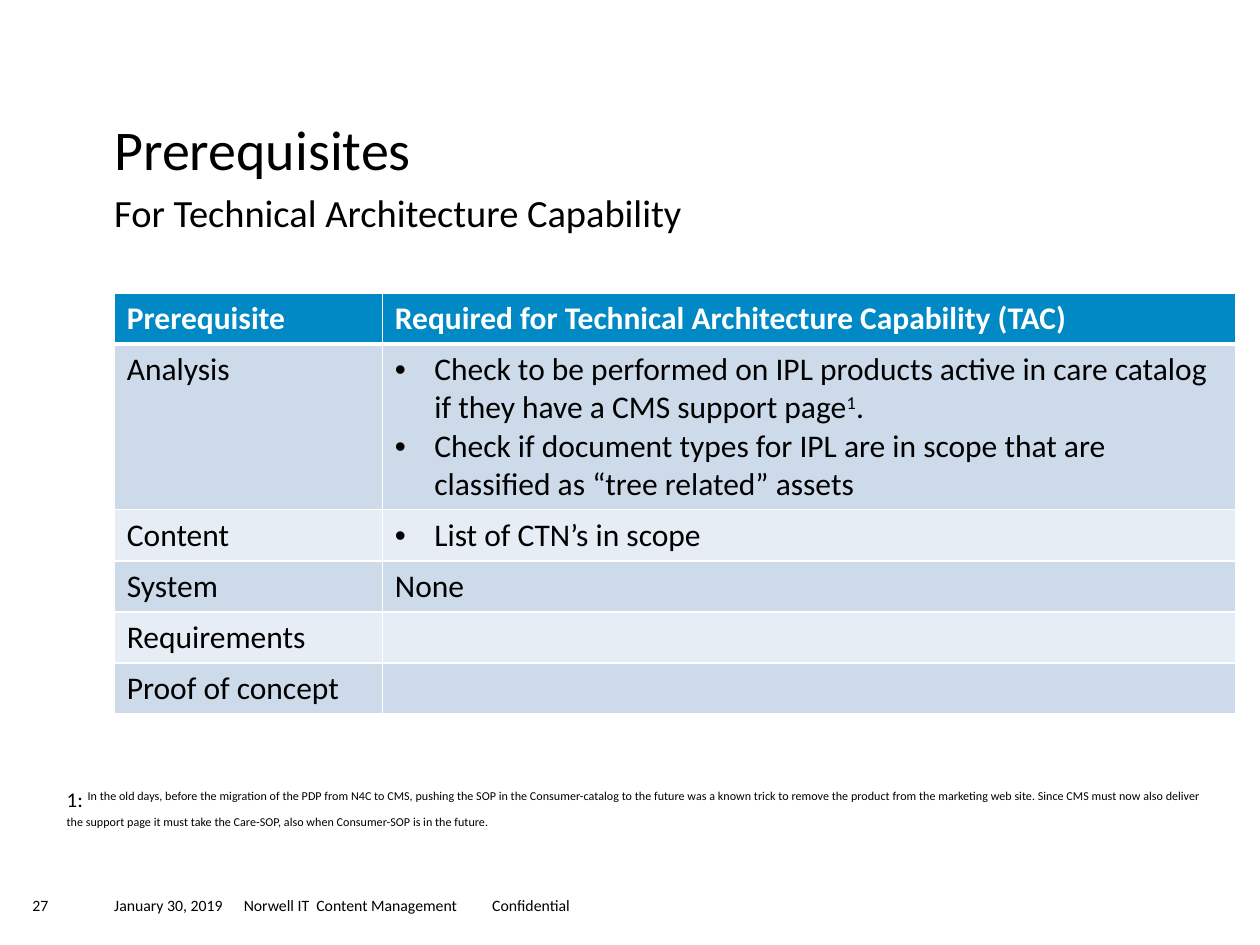
from lxml import etree
from pptx import Presentation
from pptx.dml.color import RGBColor
from pptx.oxml.ns import qn
from pptx.util import Pt

BLACK, WHITE = "000000", "FFFFFF"
HEADER_FILL, BAND_FILLS = "0089C4", ("CCDAEA", "E7EDF5")
SUPERSCRIPT = 30
BULLET_INDENT = 22.5

TABLE_ROWS = [
    ("Prerequisite", "Required for Technical Architecture Capability (TAC)"),
    ("Analysis", [
        [("Check to be performed on IPL products active in care catalog "
          "if they have a CMS support page", 0), ("1", SUPERSCRIPT), (".", 0)],
        "Check if document types for IPL are in scope that are "
        "classified as “tree related” assets",
    ]),
    ("Content", ["List of CTN’s in scope"]),
    ("System", "None"),
    ("Requirements", ""),
    ("Proof of concept", ""),
]
FOOTNOTE = [
    ("1: ", 0),
    ("In the old days, before the migration of the PDP from N4C to CMS, pushing "
     "the SOP in the Consumer-catalog to the future was a known trick to remove "
     "the product from the marketing web site. Since CMS must now also deliver "
     "the support page it must take the Care-SOP, also when Consumer-SOP is in "
     "the future.", SUPERSCRIPT),
]


def color(value):
    return RGBColor.from_string(value)


def add_bullet(paragraph):
    properties = paragraph._p.get_or_add_pPr()
    properties.set("marL", str(Pt(BULLET_INDENT)))
    properties.set("indent", str(-Pt(BULLET_INDENT)))
    etree.SubElement(properties, qn("a:buFont")).set("typeface", "Arial")
    etree.SubElement(properties, qn("a:buChar")).set("char", "•")


def add_tabs(paragraph, positions):
    tab_list = etree.SubElement(paragraph._p.get_or_add_pPr(), qn("a:tabLst"))
    for position in positions:
        tab = etree.SubElement(tab_list, qn("a:tab"))
        tab.set("pos", str(Pt(position)))
        tab.set("algn", "l")


def write(paragraph, text, font="Calibri", size=18, fill=BLACK, bold=False,
          bullet=False, tabs=()):
    """Fill a paragraph with a string or a list of (text, baseline percent)."""
    if bullet:
        add_bullet(paragraph)
    if tabs:
        add_tabs(paragraph, tabs)
    parts = [(text, 0)] if isinstance(text, str) else text
    for words, baseline in parts:
        run = paragraph.add_run()
        run.text = words
        run.font.name = font
        run.font.size = Pt(size)
        run.font.bold = bold
        run.font.color.rgb = color(fill)
        if baseline:
            run._r.get_or_add_rPr().set("baseline", str(baseline * 1000))


def set_borders(cell, top=1, bottom=1):
    properties = cell._tc.get_or_add_tcPr()
    for side, width in (("L", 1), ("R", 1), ("T", top), ("B", bottom)):
        line = etree.SubElement(properties, qn(f"a:ln{side}"), w=str(Pt(width)))
        fill = etree.SubElement(line, qn("a:solidFill"))
        etree.SubElement(fill, qn("a:srgbClr"), val=WHITE)


class SlideBuilder:
    def __init__(self, slide):
        self.slide = slide

    def text(self, left, top, width, height, text, inset=(0, 0), **style):
        box = self.slide.shapes.add_textbox(Pt(left), Pt(top), Pt(width), Pt(height))
        frame = box.text_frame
        frame.word_wrap = True
        frame.margin_left = frame.margin_right = Pt(inset[0])
        frame.margin_top = frame.margin_bottom = Pt(inset[1])
        write(frame.paragraphs[0], text, **style)

    def table(self, left, top, column_widths, row_heights, rows):
        shape = self.slide.shapes.add_table(
            len(rows), len(column_widths), Pt(left), Pt(top),
            Pt(sum(column_widths)), Pt(sum(row_heights)))
        table = shape.table
        for column, width in zip(table.columns, column_widths):
            column.width = Pt(width)
        for index, (contents, height) in enumerate(zip(rows, row_heights)):
            table.rows[index].height = Pt(height)
            for position, content in enumerate(contents):
                self.cell(table.cell(index, position), index, content)

    def cell(self, cell, row, content):
        """Format a cell; a list as content becomes bulleted paragraphs."""
        header = row == 0
        set_borders(cell, top=3 if row == 1 else 1, bottom=3 if header else 1)
        cell.fill.solid()
        cell.fill.fore_color.rgb = color(
            HEADER_FILL if header else BAND_FILLS[(row - 1) % 2])
        bullet = isinstance(content, list)
        frame = cell.text_frame
        for number, item in enumerate(content if bullet else [content]):
            paragraph = frame.add_paragraph() if number else frame.paragraphs[0]
            write(paragraph, item, bullet=bullet, bold=header,
                  fill=WHITE if header else BLACK)


def main():
    presentation = Presentation()
    presentation.slide_width, presentation.slide_height = Pt(720), Pt(540)
    builder = SlideBuilder(presentation.slides.add_slide(presentation.slide_layouts[6]))

    left = 65.3
    builder.text(left, 512, 357, 11,
                 "January 30, 2019\tNorwell IT  Content Management\tConfidential",
                 size=9, tabs=(74, 216))
    builder.text(18.5, 512, 40, 11, "27", size=9)
    builder.text(left, 65.5, 590, 40, "Prerequisites", size=32)
    builder.text(left, 108, 590, 29.5, "For Technical Architecture Capability", size=22)
    builder.table(left, 167.3, (153.2, 487.5), (29.2, 94.8) + (29.2,) * 4, TABLE_ROWS)
    builder.text(31, 445.7, 669, 46, FOOTNOTE, inset=(7.2, 3.6), size=12)

    presentation.save("out.pptx")


if __name__ == "__main__":
    main()
